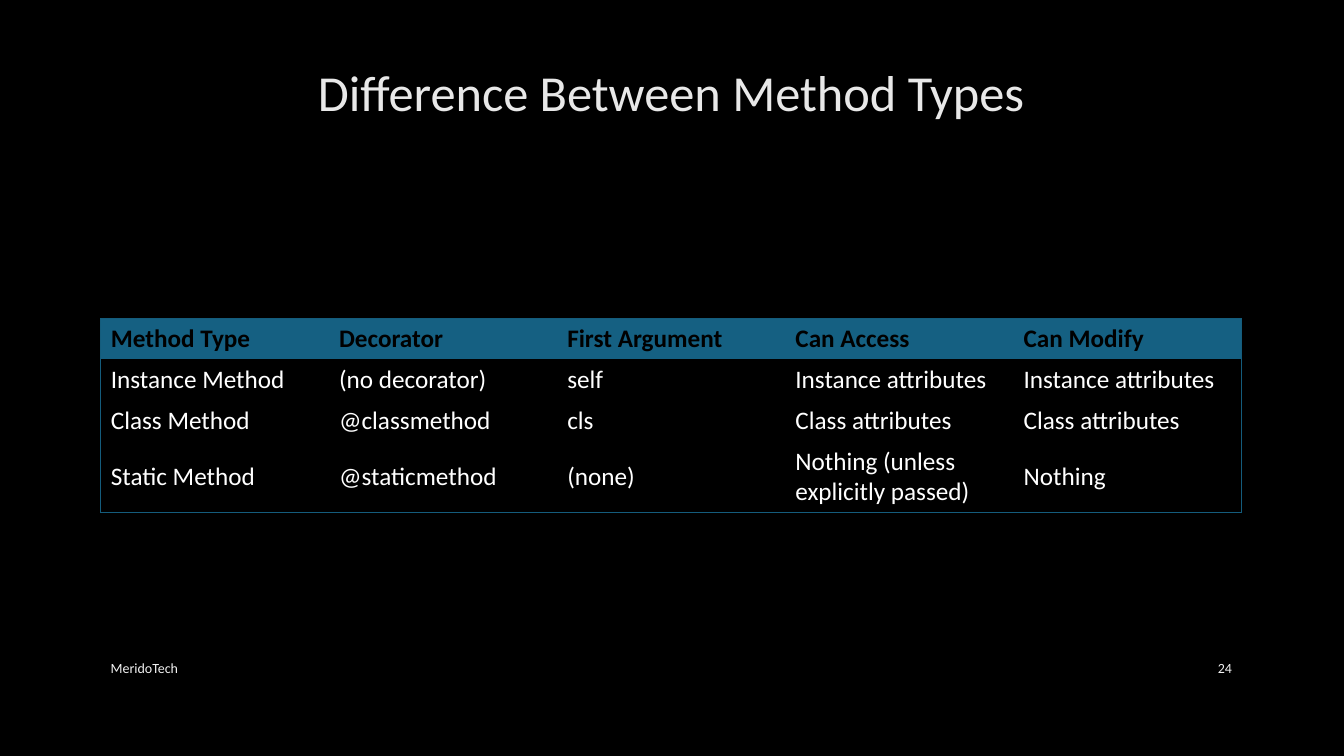
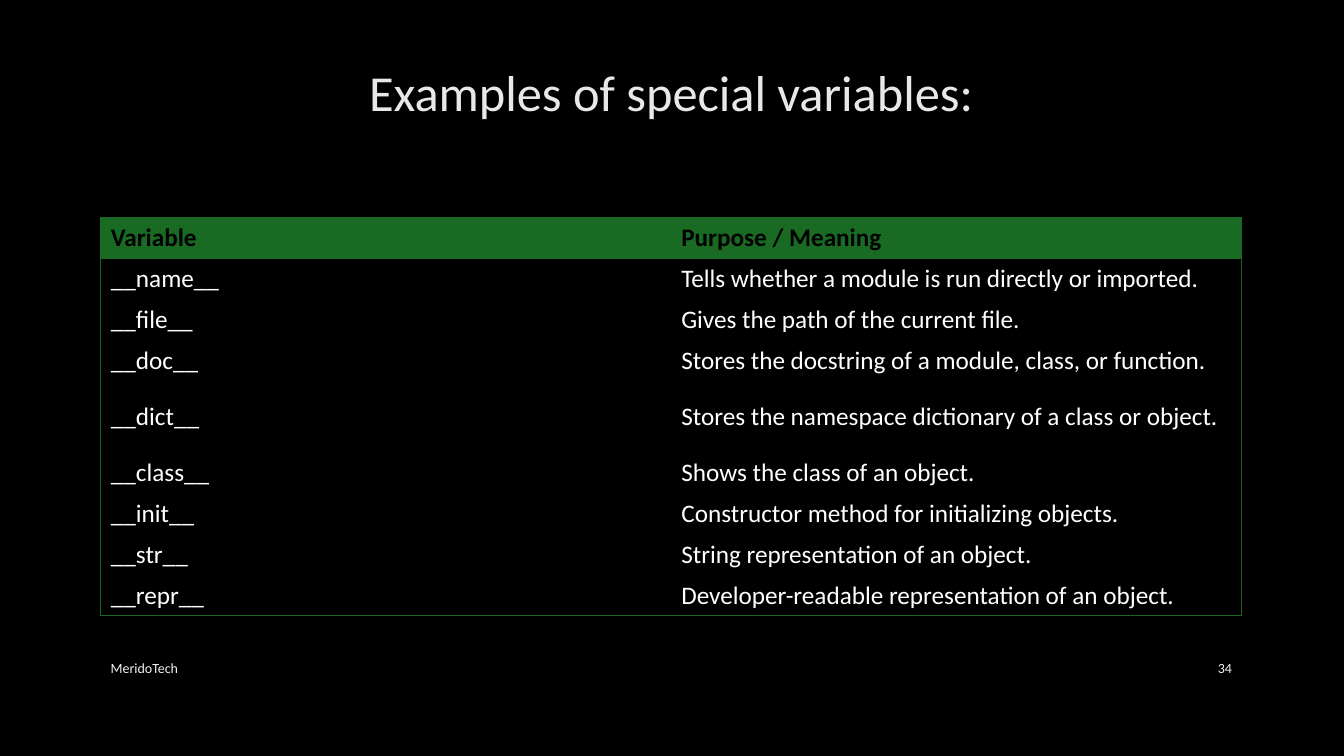
from lxml import etree
from pptx import Presentation
from pptx.dml.color import RGBColor
from pptx.enum import text
from pptx.oxml import ns
from pptx.util import Pt

FONT = "Calibri"
BLACK = RGBColor(0x00, 0x00, 0x00)
WHITE = RGBColor(0xFF, 0xFF, 0xFF)
TITLE_GREY = RGBColor(0xE8, 0xE8, 0xE8)
FOOTER_GREY = RGBColor(0xF2, 0xF2, 0xF2)
OUTLINE_GREY = RGBColor(0x40, 0x40, 0x40)
BLUE = RGBColor(0x15, 0x60, 0x82)
BLUE_LINE = RGBColor(0x14, 0x5C, 0x7C)
GREEN = RGBColor(0x19, 0x6B, 0x24)
GREEN_LINE = RGBColor(0x18, 0x66, 0x22)

NO_GRID_STYLE = "{2D5ABB26-0587-4C30-8999-92F81FD0307C}"
LEFT, WIDTH = 72, 815
ROW, TALL_ROW = 29.2, 50.8
FOOTER_TOP, FOOTER_HEIGHT = 463, 28.8
FOOTER = "MeridoTech"

PAGES = [
    {
        "title": "Difference Between Method Types",
        "number": "24",
        "top": 227.5,
        "tall_row": 3,
        "fill": BLUE,
        "line": BLUE_LINE,
        "rows": [
            ("Method Type", "Decorator", "First Argument", "Can Access", "Can Modify"),
            ("Instance Method", "(no decorator)", "self", "Instance attributes",
             "Instance attributes"),
            ("Class Method", "@classmethod", "cls", "Class attributes", "Class attributes"),
            ("Static Method", "@staticmethod", "(none)",
             "Nothing (unless explicitly passed)", "Nothing"),
        ],
    },
    {
        "title": "Examples of special variables:",
        "number": "34",
        "top": 155.5,
        "tall_row": 4,
        "fill": GREEN,
        "line": GREEN_LINE,
        "rows": [
            ("Variable", "Purpose / Meaning"),
            ("__name__", "Tells whether a module is run directly or imported."),
            ("__file__", "Gives the path of the current file."),
            ("__doc__", "Stores the docstring of a module, class, or function."),
            ("__dict__", "Stores the namespace dictionary of a class or object."),
            ("__class__", "Shows the class of an object."),
            ("__init__", "Constructor method for initializing objects."),
            ("__str__", "String representation of an object."),
            ("__repr__", "Developer-readable representation of an object."),
        ],
    },
]


def add_line(parent, tag, color, alpha=100):
    """Add a thin solid line, such as a cell border or a text outline."""
    line = etree.SubElement(parent, ns.qn(tag), w=str(Pt(0.75)))
    fill = etree.SubElement(line, ns.qn("a:solidFill"))
    shade = etree.SubElement(fill, ns.qn("a:srgbClr"), val=str(color))
    if alpha < 100:
        etree.SubElement(shade, ns.qn("a:alpha"), val=str(alpha * 1000))
    return line


def add_label(page, words, left, top, width, height, size, color, align):
    box = page.shapes.add_textbox(Pt(left), Pt(top), Pt(width), Pt(height))
    frame = box.text_frame
    frame.word_wrap = True
    frame.vertical_anchor = text.MSO_ANCHOR.MIDDLE
    frame.text = words
    para = frame.paragraphs[0]
    para.alignment = align
    span = para.runs[0]
    span.font.name = FONT
    span.font.size = Pt(size)
    span.font.color.rgb = color
    return frame


deck = Presentation()
deck.slide_width, deck.slide_height = Pt(960), Pt(540)

# Shared black background
background = deck.slide_master.background.fill
background.solid()
background.fore_color.rgb = BLACK

for content in PAGES:
    page = deck.slides.add_slide(deck.slide_layouts[6])

    # Title, with a faint outline around the letters
    title = add_label(page, content["title"], LEFT, 44, WIDTH, 80, 36, TITLE_GREY,
                      text.PP_ALIGN.CENTER)
    title.vertical_anchor = text.MSO_ANCHOR.TOP
    title.margin_top = 0
    letters = title.paragraphs[0].runs[0].font._element
    letters.insert(0, add_line(letters, "a:ln", OUTLINE_GREY, alpha=10))

    # Table
    rows = content["rows"]
    last_row, last_column = len(rows) - 1, len(rows[0]) - 1
    heights = [TALL_ROW if r == content["tall_row"] else ROW for r in range(len(rows))]
    table = page.shapes.add_table(len(rows), len(rows[0]), Pt(LEFT), Pt(content["top"]),
                                  Pt(WIDTH), Pt(sum(heights))).table
    table.horz_banding = False
    table._tbl.tblPr.find(ns.qn("a:tableStyleId")).text = NO_GRID_STYLE

    for r, row in enumerate(rows):
        table.rows[r].height = Pt(heights[r])
        for c, words in enumerate(row):
            cell = table.cell(r, c)
            cell.vertical_anchor = text.MSO_ANCHOR.MIDDLE
            cell.text = words
            font = cell.text_frame.paragraphs[0].runs[0].font
            font.name = FONT
            font.size = Pt(18)
            font.bold = r == 0
            font.color.rgb = BLACK if r == 0 else WHITE

            # Borders on the outer edge only
            edges = {"a:lnL": c == 0, "a:lnR": c == last_column,
                     "a:lnT": r == 0, "a:lnB": r == last_row}
            for tag, outer in edges.items():
                if outer:
                    add_line(cell._tc.get_or_add_tcPr(), tag, content["line"])
            cell.fill.solid()
            cell.fill.fore_color.rgb = content["fill"] if r == 0 else BLACK

    # Footer and page number
    add_label(page, FOOTER, LEFT, FOOTER_TOP, 525.6, FOOTER_HEIGHT, 10, FOOTER_GREY,
              text.PP_ALIGN.LEFT)
    add_label(page, content["number"], 828, FOOTER_TOP, 59, FOOTER_HEIGHT, 10, FOOTER_GREY,
              text.PP_ALIGN.RIGHT)

deck.save("out.pptx")
